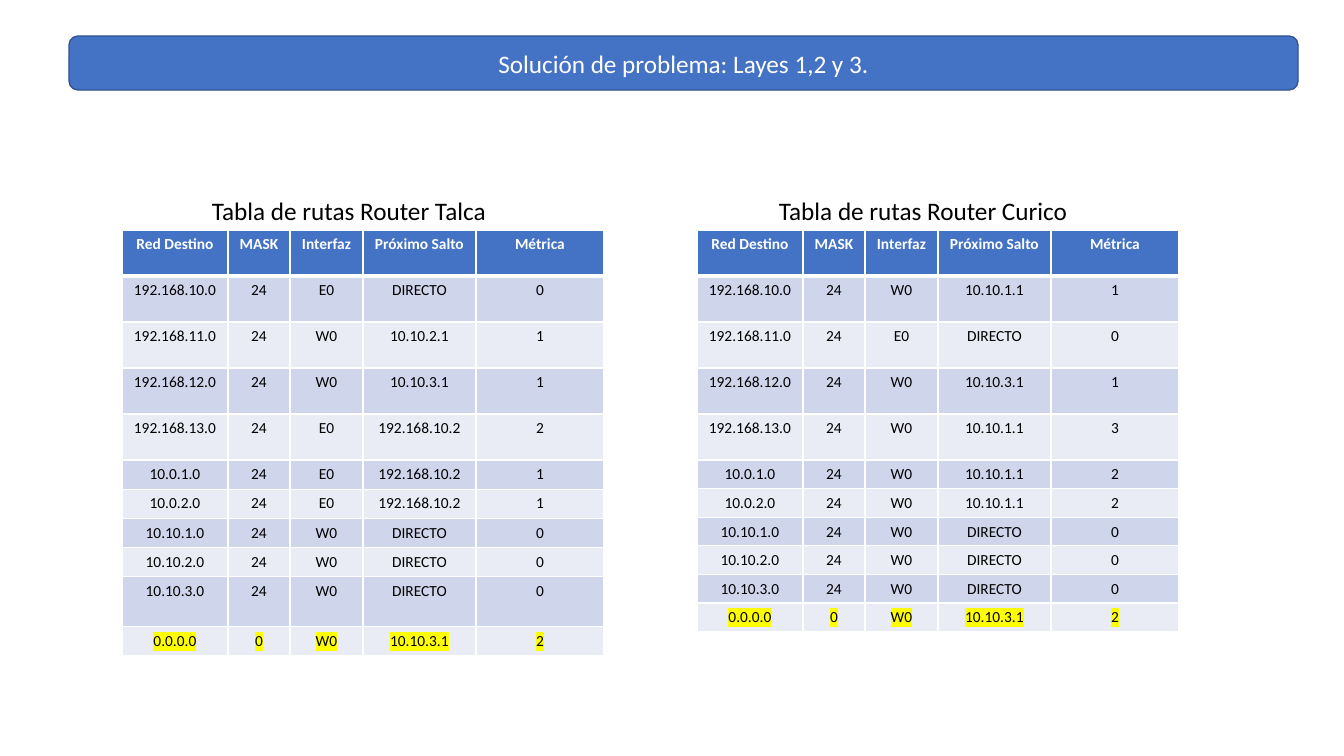
from dataclasses import dataclass
from typing import Any

import pptx
import pptx.dml.color
import pptx.enum.shapes
import pptx.enum.text
import pptx.oxml
import pptx.oxml.ns
import pptx.util

RGBColor = pptx.dml.color.RGBColor
WHITE = RGBColor(0xFF, 0xFF, 0xFF)
BLACK = RGBColor(0x00, 0x00, 0x00)
BLUE = RGBColor(0x44, 0x72, 0xC4)
DARK_BLUE = RGBColor(0x32, 0x54, 0x91)
ODD_BAND = RGBColor(0xCF, 0xD5, 0xEA)
EVEN_BAND = RGBColor(0xE9, 0xEB, 0xF5)
YELLOW = RGBColor(0xFF, 0xFF, 0x00)

EMU_PER_PIXEL = 914400 / 100.8
CENTER = pptx.enum.text.PP_ALIGN.CENTER
LEFT = pptx.enum.text.PP_ALIGN.LEFT
HEADING_FORMAT = {"name": "Calibri", "size": pptx.util.Pt(18), "bold": False}
CELL_FORMAT = {"name": "Calibri", "size": pptx.util.Pt(11), "bold": False}
HEADER_FORMAT = {**CELL_FORMAT, "bold": True}

COLUMN_WIDTHS = (106, 62, 73, 113, 128)
HEADERS = ("Red Destino", "MASK", "Interfaz", "Próximo Salto", "Métrica")
DESTINATIONS = (
    *(f"192.168.{number}.0" for number in range(10, 14)),
    "10.0.1.0",
    "10.0.2.0",
    *(f"10.10.{number}.0" for number in range(1, 4)),
    "0.0.0.0",
)
DEFAULT_ROUTE = DESTINATIONS[-1]
DIRECT = ("W0", "DIRECTO", "0")
FALLBACK = ("W0", "10.10.3.1", "2")


@dataclass(frozen=True)
class RouteTable:
    heading: str
    heading_left: int
    heading_width: int
    left: int
    row_heights: tuple[int, ...]
    routes: tuple[tuple[str, str, str], ...]


ROUTE_TABLES = (
    RouteTable(
        "Tabla de rutas Router Talca", 202, 297, 122,
        (46,) * 5 + (29,) * 4 + (50, 29),
        (
            ("E0", "DIRECTO", "0"),
            ("W0", "10.10.2.1", "1"),
            ("W0", "10.10.3.1", "1"),
            ("E0", "192.168.10.2", "2"),
            ("E0", "192.168.10.2", "1"),
            ("E0", "192.168.10.2", "1"),
            DIRECT, DIRECT, DIRECT, FALLBACK,
        ),
    ),
    RouteTable(
        "Tabla de rutas Router Curico", 769, 312, 697,
        (46,) * 5 + (28,) * 6,
        (
            ("W0", "10.10.1.1", "1"),
            ("E0", "DIRECTO", "0"),
            ("W0", "10.10.3.1", "1"),
            ("W0", "10.10.1.1", "3"),
            ("W0", "10.10.1.1", "2"),
            ("W0", "10.10.1.1", "2"),
            DIRECT, DIRECT, DIRECT, FALLBACK,
        ),
    ),
)


def px(pixels: int) -> int:
    return round(pixels * EMU_PER_PIXEL)


def write(frame: Any, text: str, values: dict[str, Any], color: RGBColor, alignment: Any) -> Any:
    para = frame.paragraphs[0]
    para.alignment = alignment
    span = para.add_run()
    span.text = text
    for name, value in values.items():
        setattr(span.font, name, value)
    span.font.color.rgb = color
    return span


def highlight(span: Any, color: RGBColor) -> None:
    element = pptx.oxml.parse_xml(
        f'<a:highlight {pptx.oxml.ns.nsdecls("a")}><a:srgbClr val="{color}"/></a:highlight>'
    )
    span.font.fill  # noqa
    span.font._rPr.find(pptx.oxml.ns.qn("a:solidFill")).addnext(element)


def set_borders(cell: Any, top: int, bottom: int) -> None:
    properties = cell._tc.get_or_add_tcPr()
    for position, (side, points) in enumerate({"L": 1, "R": 1, "T": top, "B": bottom}.items()):
        border = pptx.oxml.parse_xml(
            f'<a:ln{side} {pptx.oxml.ns.nsdecls("a")} w="{pptx.util.Pt(points)}">'
            f'<a:solidFill><a:srgbClr val="{WHITE}"/></a:solidFill></a:ln{side}>'
        )
        properties.insert(position, border)


def draw_banner(page: Any, text: str) -> None:
    banner = page.shapes.add_shape(
        pptx.enum.shapes.MSO_SHAPE.ROUNDED_RECTANGLE, px(69), px(36), px(1229), px(54)
    )
    banner.shadow.inherit = False
    banner.fill.solid()
    banner.fill.fore_color.rgb = BLUE
    banner.line.color.rgb = DARK_BLUE
    banner.line.width = pptx.util.Pt(1)
    banner.text_frame.vertical_anchor = pptx.enum.text.MSO_ANCHOR.MIDDLE
    write(banner.text_frame, text, HEADING_FORMAT, WHITE, CENTER)


def draw_heading(page: Any, item: RouteTable) -> None:
    box = page.shapes.add_textbox(px(item.heading_left), px(190), px(item.heading_width), px(40))
    box.text_frame.word_wrap = False
    box.text_frame.auto_size = pptx.enum.text.MSO_AUTO_SIZE.SHAPE_TO_FIT_TEXT
    write(box.text_frame, item.heading, HEADING_FORMAT, BLACK, LEFT)


def draw_table(page: Any, item: RouteTable) -> None:
    rows = [HEADERS] + [
        (destination, "0" if destination == DEFAULT_ROUTE else "24", *route)
        for destination, route in zip(DESTINATIONS, item.routes)
    ]
    table = page.shapes.add_table(
        len(rows), len(HEADERS), px(item.left), px(230),
        px(sum(COLUMN_WIDTHS)), px(sum(item.row_heights)),
    ).table
    for column, width in zip(table.columns, COLUMN_WIDTHS):
        column.width = px(width)
    for index, (row, height, texts) in enumerate(zip(table.rows, item.row_heights, rows)):
        row.height = px(height)
        is_header = index == 0
        band = BLUE if is_header else ODD_BAND if index % 2 else EVEN_BAND
        for cell, text in zip(row.cells, texts):
            cell.fill.solid()
            cell.fill.fore_color.rgb = band
            set_borders(cell, top=3 if index == 1 else 1, bottom=3 if is_header else 1)
            values = HEADER_FORMAT if is_header else CELL_FORMAT
            span = write(cell.text_frame, text, values, WHITE if is_header else BLACK, CENTER)
            if texts[0] == DEFAULT_ROUTE:
                highlight(span, YELLOW)


def main() -> None:
    deck = pptx.Presentation()
    deck.slide_width = px(1344)
    deck.slide_height = px(756)
    page = deck.slides.add_slide(deck.slide_layouts[6])
    draw_banner(page, "Solución de problema: Layes 1,2 y 3.")
    for item in ROUTE_TABLES:
        draw_table(page, item)
        draw_heading(page, item)
    deck.save("out.pptx")


main()
